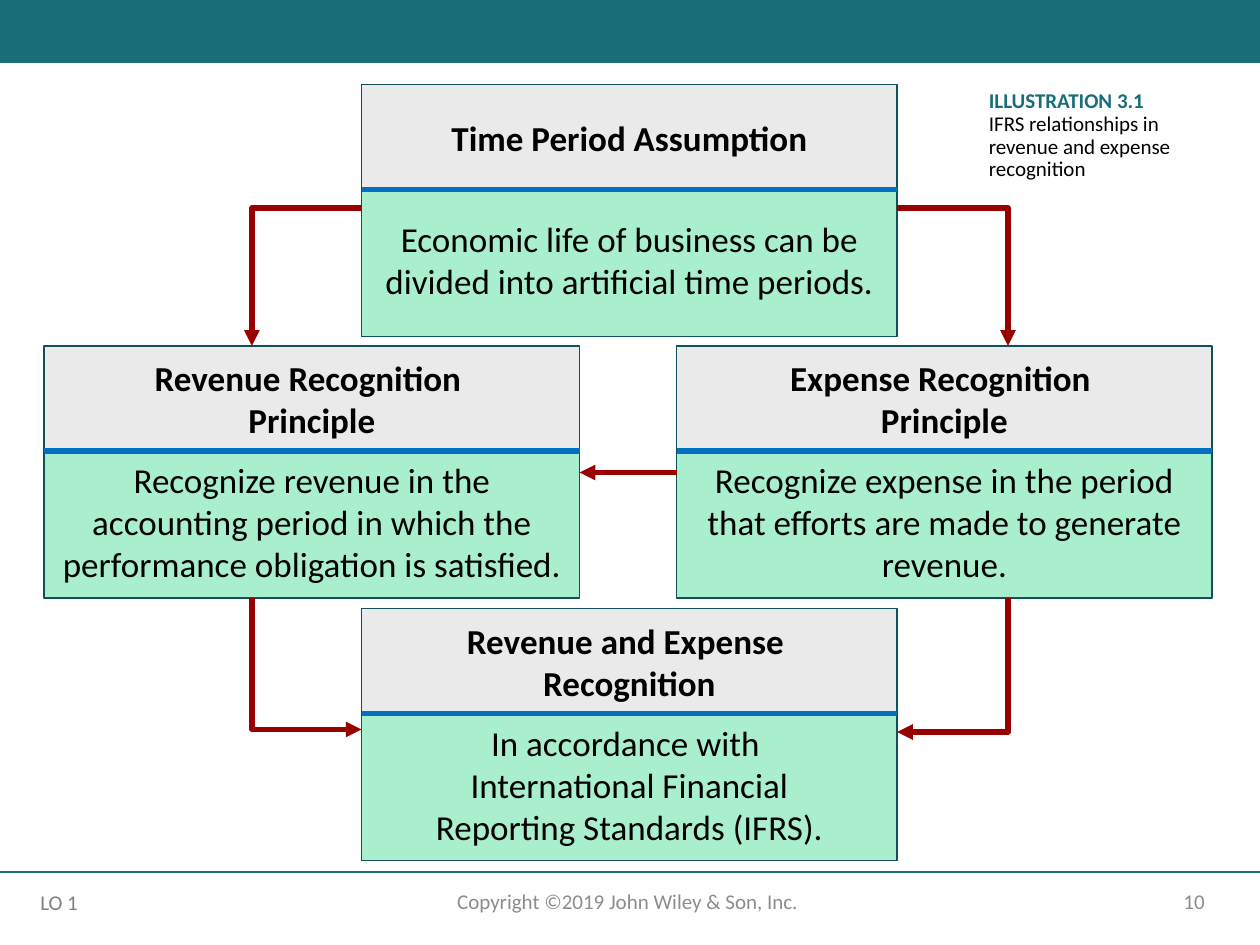
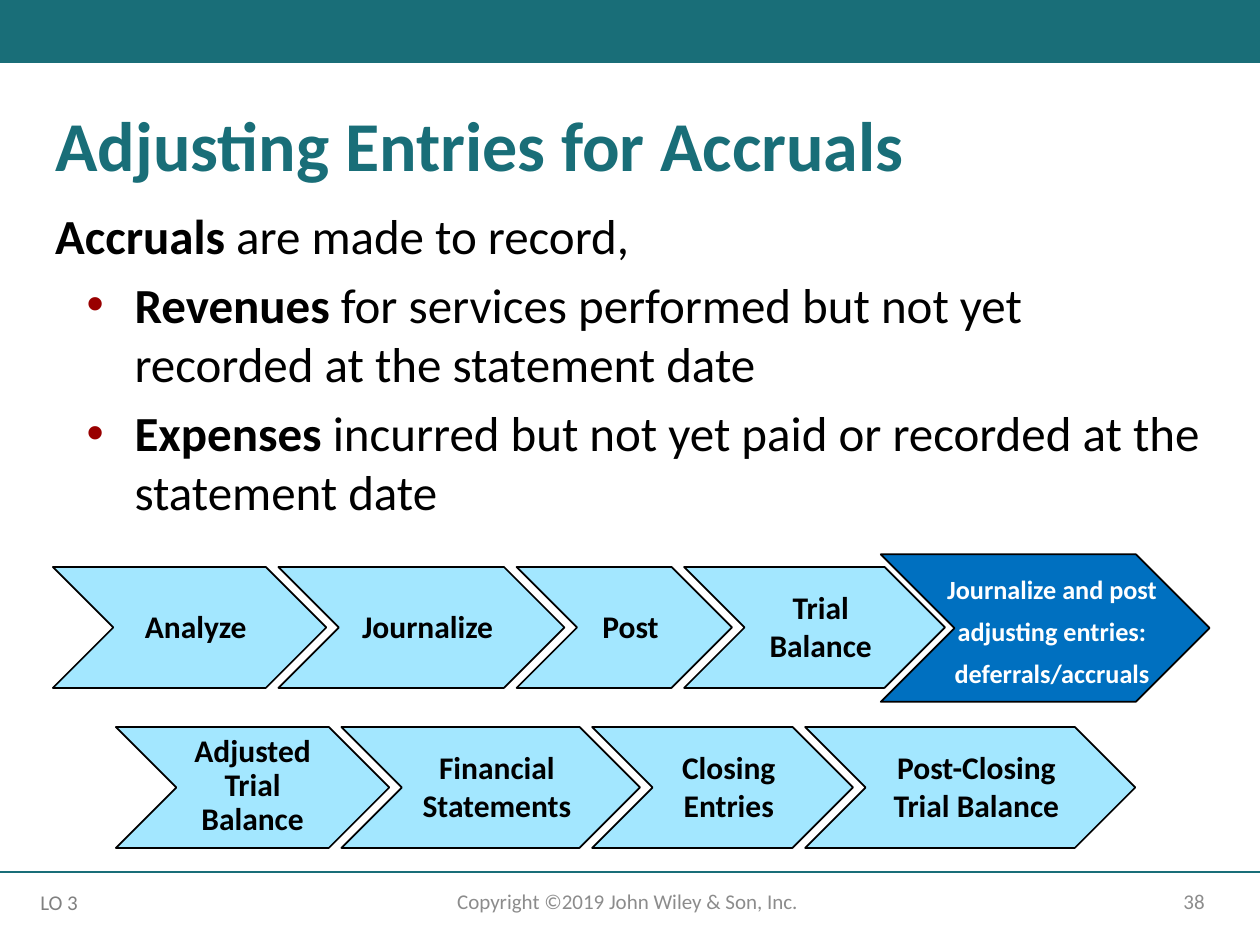
from lxml import etree
from pptx import Presentation
from pptx import util as u
from pptx.dml.color import RGBColor
from pptx.enum import shapes, text
from pptx.oxml.ns import qn

FONT = "Calibri"
TEAL, DARK_TEAL, BLUE, RED = "196E78", "125159", "0070C0", "990000"
GREY, MINT, SKY = "EAEAEA", "A9EFCE", "A3E7FF"
BLACK, WHITE, FOOTER_GREY, LABEL_GREY = "000000", "FFFFFF", "8C8C8C", "808080"
LEFT, CENTER, RIGHT = text.PP_ALIGN.LEFT, text.PP_ALIGN.CENTER, text.PP_ALIGN.RIGHT
TOP, MIDDLE = text.MSO_ANCHOR.TOP, text.MSO_ANCHOR.MIDDLE

# Every length below is in columns and rows of this grid
COLUMNS, ROWS = 100, 75
CELL = u.Inches(0.1)
CARD_WIDTH, HEAD_HEIGHT, CARD_HEIGHT = 42.5, 8.35, 20
CHEVRON_HEIGHT, CHEVRON_OVERLAP = 9.6, 3.8


def cells(*values):
    return [round(value * CELL) for value in values]


def color(hex_string):
    return RGBColor.from_string(hex_string)


def write(shape, paragraphs, size, ink, bold=False, align=LEFT, anchor=TOP,
          insets=(0.1, 0.05, 0.1, 0.05), spacing=None):
    """Fill a shape with paragraphs, each a list of (text, bold) runs or a string."""
    frame = shape.text_frame
    frame.word_wrap = True
    frame.vertical_anchor = anchor
    (frame.margin_left, frame.margin_top,
     frame.margin_right, frame.margin_bottom) = [u.Inches(inset) for inset in insets]
    for index, content in enumerate(paragraphs):
        paragraph = frame.add_paragraph() if index else frame.paragraphs[0]
        paragraph.alignment = align
        if spacing:
            paragraph.line_spacing = spacing
        runs = [(content, bold)] if isinstance(content, str) else content
        for words, run_bold in runs:
            run = paragraph.add_run()
            run.text = words
            run.font.name, run.font.size = FONT, u.Pt(size)
            run.font.bold = run_bold
            run.font.color.rgb = color(ink)
    return frame


def add_text(slide, box, paragraphs, size, ink, **style):
    return write(slide.shapes.add_textbox(*cells(*box)), paragraphs, size, ink, **style)


def add_block(slide, kind, box, fill, outline=None):
    shape = slide.shapes.add_shape(kind, *cells(*box))
    shape.shadow.inherit = False
    shape.fill.solid()
    shape.fill.fore_color.rgb = color(fill)
    if outline:
        shape.line.color.rgb = color(outline)
        shape.line.width = u.Pt(1)
    else:
        shape.line.fill.background()
    return shape


def add_line(slide, start, end, ink, width, arrow=None, bent=False):
    """Draw a line; a bent one runs across first, then up or down."""
    kind = shapes.MSO_CONNECTOR.ELBOW if bent else shapes.MSO_CONNECTOR.STRAIGHT
    line = slide.shapes.add_connector(kind, *cells(*start, *end))
    line.line.color.rgb = color(ink)
    line.line.width = u.Pt(width)
    properties = line._element.spPr
    if bent:
        properties.find(qn("a:prstGeom")).set("prst", "bentConnector2")
    if arrow:
        etree.SubElement(properties.find(qn("a:ln")), qn(f"a:{arrow}"), type="triangle")
    etree.SubElement(properties, qn("a:effectLst"))


def add_frame(slide, objective, number):
    """Top band, footer rule and footer texts."""
    add_block(slide, shapes.MSO_SHAPE.RECTANGLE, (0, 0, COLUMNS, 5), TEAL)
    add_line(slide, (0, 69.2), (COLUMNS, 69.2), TEAL, 1)
    add_text(slide, (3.2, 70.1, 8, 3), [objective], 12, LABEL_GREY,
             insets=(0, 0.05, 0, 0.05))
    add_text(slide, (33.1, 69.5, 33.8, 4), ["Copyright ©2019 John Wiley & Son, Inc. "],
             12, FOOTER_GREY, align=CENTER, anchor=MIDDLE)
    add_text(slide, (70.6, 69.5, 26, 4), [number], 12, FOOTER_GREY,
             align=RIGHT, anchor=MIDDLE)


def add_card(slide, left, top, heading, body):
    """Heading over body, parted by a blue rule."""
    rule = top + HEAD_HEIGHT
    head = add_block(slide, shapes.MSO_SHAPE.RECTANGLE,
                     (left, top, CARD_WIDTH, HEAD_HEIGHT), GREY, DARK_TEAL)
    write(head, heading, 20, BLACK, bold=True, align=CENTER, anchor=MIDDLE)
    base = add_block(slide, shapes.MSO_SHAPE.RECTANGLE,
                     (left, rule, CARD_WIDTH, CARD_HEIGHT - HEAD_HEIGHT), MINT, DARK_TEAL)
    write(base, body, 20, BLACK, align=CENTER, anchor=MIDDLE, insets=(0.1, 0, 0.1, 0.05))
    add_line(slide, (left, rule), (left + CARD_WIDTH, rule), BLUE, 3)


def build_relationships(slide):
    add_frame(slide, "LO 1", "10")
    middle, left, right = 28.7, 3.5, 53.7
    upper, center, lower = 6.7, 27.45, 48.3

    # Four cards
    add_card(slide, middle, upper, ["Time Period Assumption"],
             ["Economic life of business can be divided into artificial time periods."])
    add_card(slide, middle, lower, ["Revenue and Expense ", "Recognition"],
             ["In accordance with ", "International Financial",
              "Reporting Standards (IFRS)."])
    add_card(slide, left, center, ["Revenue Recognition ", "Principle"],
             ["Recognize revenue in the", "accounting period in which the",
              "performance obligation is satisfied."])
    add_card(slide, right, center, ["Expense Recognition ", "Principle"],
             ["Recognize expense in the period that efforts are made to generate revenue."])

    # Arrows down each side, and from expense to revenue
    for edge, lane, arrival in ((middle, 20, 57.9), (middle + CARD_WIDTH, 80, 58.1)):
        add_line(slide, (edge, 16.5), (lane, center), RED, 3, "tailEnd", bent=True)
        add_line(slide, (edge, arrival), (lane, center + CARD_HEIGHT), RED, 3,
                 "headEnd", bent=True)
    add_line(slide, (right, 37.5), (left + CARD_WIDTH, 37.5), RED, 3, "tailEnd")

    # Caption
    add_text(slide, (77.5, 6.7, 21.7, 8.3),
             [[("ILLUSTRATION 3.1", True)]], 12, TEAL, spacing=0.9)
    caption = slide.shapes[-1].text_frame
    for words in ("IFRS relationships in", "revenue and expense recognition"):
        paragraph = caption.add_paragraph()
        paragraph.line_spacing = 0.9
        run = paragraph.add_run()
        run.text = words
        run.font.name, run.font.size = FONT, u.Pt(12)
        run.font.color.rgb = color(BLACK)


def add_bullet(paragraph):
    properties = paragraph._p.get_or_add_pPr()
    properties.set("marL", str(u.Inches(0.63)))
    properties.set("indent", str(-u.Inches(0.38)))
    bullet_color = etree.SubElement(properties, qn("a:buClr"))
    etree.SubElement(bullet_color, qn("a:srgbClr"), val=RED)
    etree.SubElement(properties, qn("a:buFont"), typeface="Arial")
    etree.SubElement(properties, qn("a:buChar"), char="•")


def add_chevron_row(slide, left, top, steps):
    """Chevrons of given widths, nested by a fixed overlap."""
    for label, width in steps:
        chevron = add_block(slide, shapes.MSO_SHAPE.CHEVRON,
                            (left, top, width, CHEVRON_HEIGHT), SKY, BLACK)
        three_lines = label.count(" ") == 2 and "-" not in label
        write(chevron, [label], 18, BLACK, bold=True, align=CENTER, anchor=MIDDLE,
              insets=(0 if three_lines else 0.1, 0.03, 0, 0.05),
              spacing=0.9 if three_lines else None)
        left += width - CHEVRON_OVERLAP


def build_accruals(slide):
    add_frame(slide, "LO 3", "38")

    # Title
    title = slide.shapes.title
    title.left, title.top, title.width, title.height = cells(3.4, 8.3, 94.9, 7.1)
    write(title, ["Adjusting Entries for Accruals"], 40, TEAL, bold=True,
          anchor=MIDDLE, spacing=0.9)

    # Lead sentence and bullets
    frame = add_text(slide, (3.4, 15.8, 93.3, 28.3), [
        [("Accruals ", True), ("are made to record,", False)],
        [("Revenues ", True),
         ("for services performed but not yet recorded at the statement date", False)],
        [("Expenses", True),
         (" incurred but not yet paid or recorded at the statement date", False)],
    ], 28, BLACK)
    for paragraph in frame.paragraphs[1:]:
        paragraph.space_before = u.Pt(6)
        add_bullet(paragraph)

    # Accounting cycle, with the current step larger and darker
    add_chevron_row(slide, 4.2, 45, [("Analyze", 21.7), ("Journalize", 22.7),
                                     ("Post", 17.1), ("Trial Balance", 20.7)])
    add_block(slide, shapes.MSO_SHAPE.CHEVRON, (69.9, 44, 26.1, 11.7), BLUE, BLACK)
    add_text(slide, (71, 44.2, 25, 11.5),
             ["Journalize and post adjusting entries: deferrals/accruals"],
             15, WHITE, bold=True, align=CENTER, spacing=u.Pt(24))
    add_chevron_row(slide, 9.2, 57.7, [("Adjusted Trial Balance", 21.7),
                                       ("Financial Statements", 23.7),
                                       ("Closing Entries", 20.7),
                                       ("Post-Closing Trial Balance", 26.2)])


def main():
    presentation = Presentation()
    presentation.slide_width, presentation.slide_height = cells(COLUMNS, ROWS)
    title_only, blank = presentation.slide_layouts[5], presentation.slide_layouts[6]
    build_relationships(presentation.slides.add_slide(blank))
    build_accruals(presentation.slides.add_slide(title_only))
    presentation.save("out.pptx")


if __name__ == "__main__":
    main()
